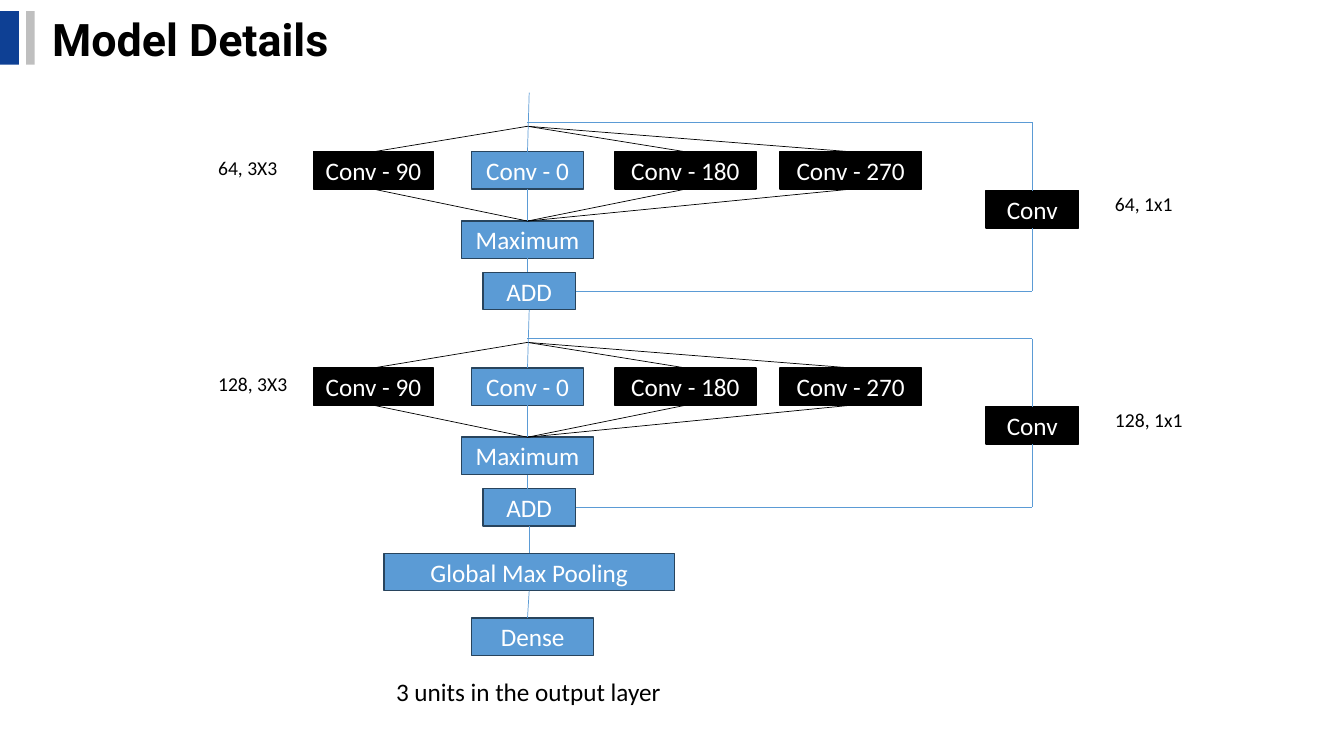
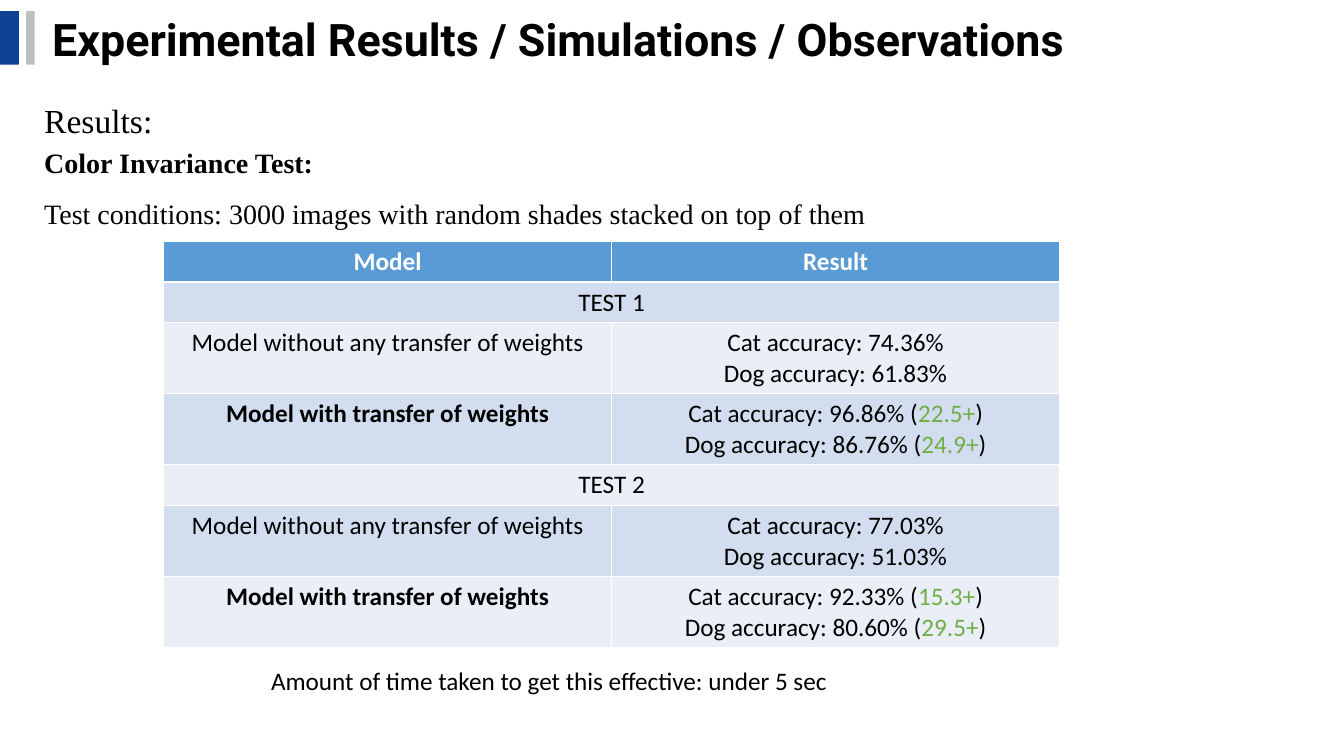
from lxml import etree
from pptx import Presentation
from pptx.dml.color import RGBColor
from pptx.enum.shapes import MSO_CONNECTOR, MSO_SHAPE
from pptx.enum.text import MSO_ANCHOR, MSO_AUTO_SIZE, PP_ALIGN
from pptx.oxml.ns import qn
from pptx.shapes.autoshape import Shape
from pptx.util import Pt

STRAIGHT = MSO_CONNECTOR.STRAIGHT
RECTANGLE = MSO_SHAPE.RECTANGLE
MIDDLE = MSO_ANCHOR.MIDDLE
CENTER = PP_ALIGN.CENTER
GROW = MSO_AUTO_SIZE.SHAPE_TO_FIT_TEXT
TOP, LEFT, BOTTOM, RIGHT = range(4)

COLORS = {
    "navy": "0E4094",
    "gray": "BFBFBF",
    "blue": "5B9BD5",
    "outline": "28445D",
    "black": "000000",
    "white": "FFFFFF",
    "green": "70AD47",
    "band_dark": "D2DEEF",
    "band_light": "EAEFF7",
}
BODY, TITLE, SERIF = "Calibri", "Roboto", "Times New Roman"

BOX_HEIGHT = 26.7
AXIS = 376.8
TRUNK = 378
SKIP_X = 737.3
BLOCK_STEP = 154.4
CONVOLUTIONS = [("Conv - 90", 266.8, 85.7), ("Conv - 180", 489.6, 100.8),
                ("Conv - 270", 607.7, 100.8)]

PLAIN = "Model without any transfer of weights"
TRANSFER = "Model with transfer of weights"
TESTS = [
    ("TEST 1", ("74.36%", "61.83%"), (("96.86%", "22.5+"), ("86.76%", "24.9+"))),
    ("TEST 2", ("77.03%", "51.03%"), (("92.33%", "15.3+"), ("80.60%", "29.5+"))),
]
ANIMALS = ("Cat", "Dog")


def rgb(name):
    return RGBColor.from_string(COLORS[name])


def set_font(target, size, color="black", name=BODY, bold=False):
    font = target.font
    font.size = Pt(size)
    font.name = name
    font.bold = bold
    font.color.rgb = rgb(color)


def add_rectangle(slide, left, top, width, height, fill, outline=None):
    shape = slide.shapes.add_shape(RECTANGLE, Pt(left), Pt(top), Pt(width), Pt(height))
    shape.shadow.inherit = False
    shape.fill.solid()
    shape.fill.fore_color.rgb = rgb(fill)
    if outline:
        shape.line.color.rgb = rgb(outline)
        shape.line.width = Pt(1)
    else:
        shape.line.fill.background()
    return shape


def add_text(slide, left, top, width, height, lines, size, name=BODY,
             bold_lines=(), spacing=None):
    shape = slide.shapes.add_textbox(Pt(left), Pt(top), Pt(width), Pt(height))
    frame = shape.text_frame
    frame.word_wrap = True
    frame.auto_size = GROW
    frame.text = "\n".join(lines)
    for index, paragraph in enumerate(frame.paragraphs):
        set_font(paragraph, size, name=name, bold=index in bold_lines)
        if spacing:
            paragraph.line_spacing = spacing
    return shape


def add_titled_slide(presentation, title):
    slide = presentation.slides.add_slide(presentation.slide_layouts[6])
    add_rectangle(slide, 0, 8, 13.5, 38.2, "navy")
    add_rectangle(slide, 18.7, 8, 6, 38.2, "gray")
    heading = add_text(slide, 30.2, 4.3, 740, 46, [title], 32, TITLE, (0,))
    heading.text_frame.vertical_anchor = MIDDLE
    return slide


def add_box(slide, label, center, top, width, fill="blue"):
    outline = "outline" if fill == "blue" else fill
    shape = add_rectangle(slide, center - width / 2, top, width, BOX_HEIGHT, fill, outline)
    frame = shape.text_frame
    frame.vertical_anchor = MIDDLE
    frame.text = label
    paragraph = frame.paragraphs[0]
    paragraph.alignment = CENTER
    set_font(paragraph, 18, "white")
    return shape


def add_line(slide, start, end, color="blue"):
    points = [(0, 0) if isinstance(place[0], Shape) else place for place in (start, end)]
    line = slide.shapes.add_connector(STRAIGHT, *(Pt(value) for point in points for value in point))
    for place, connect in ((start, line.begin_connect), (end, line.end_connect)):
        if isinstance(place[0], Shape):
            connect(*place)
    line.line.color.rgb = rgb(color)
    line.line.width = Pt(0.5)
    etree.SubElement(line._element.spPr, qn("a:effectLst"))


def add_residual_block(slide, offset, filters, source):
    fork = (AXIS, 90.2 + offset)
    row_top = 108.4 + offset
    skip_top = 87.4 + offset

    center_conv = add_box(slide, "Conv - 0", AXIS, row_top, 79.9)
    maximum = add_box(slide, "Maximum", AXIS, 157.9 + offset, 94.3)
    addition = add_box(slide, "ADD", TRUNK, 194.6 + offset, 66.2)
    skip_conv = add_box(slide, "Conv", SKIP_X, 136.1 + offset, 66.2, "black")
    skip_bottom = (SKIP_X, 194.6 + offset + BOX_HEIGHT / 2)

    for label, center, width in CONVOLUTIONS:
        conv = add_box(slide, label, center, row_top, width, "black")
        add_line(slide, fork, (conv, TOP), "black")
        add_line(slide, (conv, BOTTOM), (maximum, TOP), "black")

    add_line(slide, source, (center_conv, TOP))
    add_line(slide, (center_conv, BOTTOM), (maximum, TOP))
    add_line(slide, (maximum, BOTTOM), (AXIS, 194.6 + offset))
    add_line(slide, (AXIS, skip_top), (SKIP_X, skip_top))
    add_line(slide, (SKIP_X, skip_top), (skip_conv, TOP))
    add_line(slide, (skip_conv, BOTTOM), skip_bottom)
    add_line(slide, (addition, RIGHT), skip_bottom)

    add_text(slide, 148.7, 107.8 + offset, 80, 24.2, [f"{filters}, 3X3"], 14)
    add_text(slide, 789.3, 133.7 + offset, 90, 24.2, [f"{filters}, 1x1"], 14)
    return addition


def build_model_slide(presentation):
    slide = add_titled_slide(presentation, "Model Details")
    source = (TRUNK, 66.2)
    for index, filters in enumerate((64, 128)):
        addition = add_residual_block(slide, index * BLOCK_STEP, filters, source)
        source = (addition, BOTTOM)

    pooling = add_box(slide, "Global Max Pooling", TRUNK, 395.3, 207.4)
    add_box(slide, "Dense", 380.5, 441.4, 87.1)
    add_line(slide, (pooling, TOP), source)
    add_line(slide, (pooling, BOTTOM), (AXIS, 441.4))
    add_text(slide, 275.8, 479.5, 217, 29, ["3 units in the output layer"], 18)


def fill_cell(cell, lines, fill, color="black", bold=False):
    cell.fill.solid()
    cell.fill.fore_color.rgb = rgb(fill)
    frame = cell.text_frame
    for index, pieces in enumerate(lines):
        paragraph = frame.add_paragraph() if index else frame.paragraphs[0]
        paragraph.alignment = CENTER
        set_font(paragraph, 18, color, bold=bold)
        for text, run_color in pieces:
            run = paragraph.add_run()
            run.text = text
            set_font(run, 18, run_color, bold=bold)


def table_rows():
    for test, plain, transfer in TESTS:
        yield test, None, False
        yield PLAIN, [[(f"{animal} accuracy: {value}", "black")]
                      for animal, value in zip(ANIMALS, plain)], False
        yield TRANSFER, [[(f"{animal} accuracy: {value} (", "black"), (gain, "green"), (")", "black")]
                         for animal, (value, gain) in zip(ANIMALS, transfer)], True


def add_results_table(slide):
    rows = list(table_rows())
    frame = slide.shapes.add_table(len(rows) + 1, 2, Pt(116.9), Pt(172.2), Pt(640), Pt(320))
    table = frame.table
    for column in table.columns:
        column.width = Pt(320)
    table.rows[0].height = Pt(29.2)
    for index, heading in enumerate(("Model", "Result")):
        fill_cell(table.cell(0, index), [[(heading, "white")]], "blue", "white", True)
    for index, (label, results, bold) in enumerate(rows, 1):
        fill = "band_dark" if index % 2 else "band_light"
        label_cell, result_cell = table.cell(index, 0), table.cell(index, 1)
        table.rows[index].height = Pt(50.7 if results else 29.2)
        fill_cell(label_cell, [[(label, "black")]], fill, bold=bold)
        fill_cell(result_cell, results or [], fill)
        if not results:
            label_cell.merge(result_cell)


def build_results_slide(presentation):
    slide = add_titled_slide(presentation, "Experimental Results / Simulations / Observations")
    add_text(slide, 24.5, 53.3, 876, 45.4, ["Results:"], 24, SERIF, spacing=1.5)
    conditions = ["Color Invariance Test:",
                  "Test conditions: 3000 images with random shades stacked on top of them"]
    add_text(slide, 24.5, 88.6, 876, 78, conditions, 20, SERIF, (0,), 1.5)
    add_results_table(slide)
    add_text(slide, 186.5, 471.6, 696, 29,
             ["Amount of time taken to get this effective: under 5 sec"], 18)


def main():
    presentation = Presentation()
    presentation.slide_width = Pt(960)
    presentation.slide_height = Pt(540)
    build_model_slide(presentation)
    build_results_slide(presentation)
    presentation.save("out.pptx")


if __name__ == "__main__":
    main()
